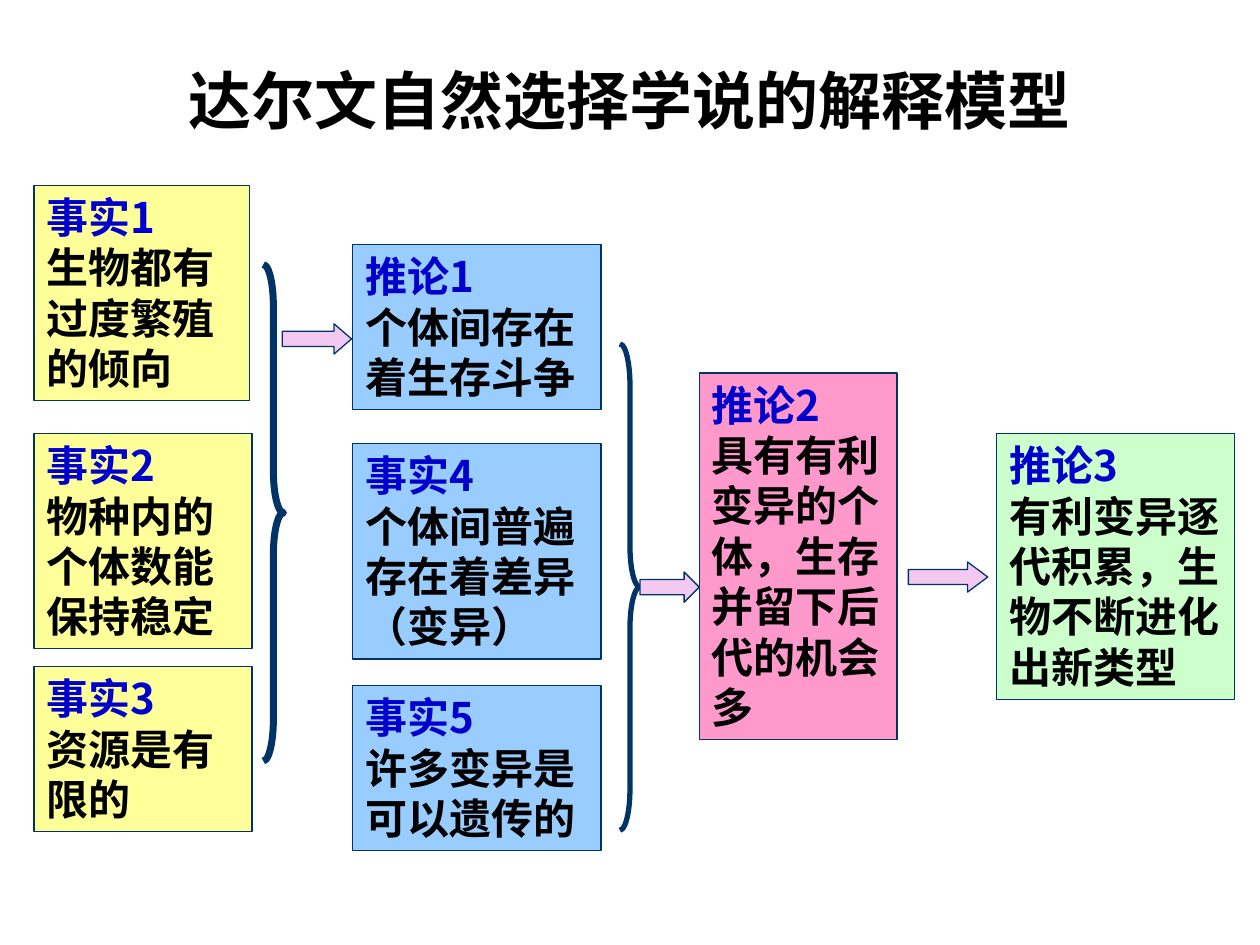
"""Build a slide showing how facts lead to inferences in natural selection theory."""
from dataclasses import dataclass

from lxml import etree
from pptx import Presentation
from pptx import util as u
from pptx.dml.color import RGBColor
from pptx.enum import shapes, text
from pptx.oxml.ns import qn

COLOURS = {
    "edge": "003366",
    "heading": "0000CC",
    "body": "000000",
    "fact": "FFFF99",
    "middle": "99CCFF",
    "survival": "FF99CC",
    "evolution": "CCFFCC",
    "arrow": "F3C9F2",
}
CJK_FONT = "Noto Sans CJK SC"


@dataclass
class Card:
    heading: str
    body: str
    left: float
    top: float
    width: float
    height: float
    fill: str


@dataclass
class Brace:
    left: float
    top: float
    height: float
    curve: float
    weight: float


@dataclass
class Arrow:
    left: float
    top: float
    width: float
    head: float


CARDS = [
    Card("事实1", "生物都有过度繁殖的倾向", 0.27, 1.47, 1.71, 1.71, "fact"),
    Card("事实2", "物种内的个体数能保持稳定", 0.27, 3.44, 1.73, 1.71, "fact"),
    Card("事实3", "资源是有限的", 0.27, 5.29, 1.73, 1.31, "fact"),
    Card("推论1", "个体间存在着生存斗争", 2.8, 1.94, 1.97, 1.31, "middle"),
    Card("事实4", "个体间普遍存在着差异（变异）", 2.8, 3.52, 1.97, 1.71, "middle"),
    Card("事实5", "许多变异是可以遗传的", 2.8, 5.44, 1.97, 1.31, "middle"),
    Card("推论2", "具有有利变异的个体，生存并留下后代的机会多",
         5.55, 2.96, 1.57, 2.91, "survival"),
    Card("推论3", "有利变异逐代积累，生物不断进化出新类型",
         7.91, 3.44, 1.89, 2.11, "evolution"),
]
BRACES = [Brace(2.09, 2.1, 3.94, 2.08, 4), Brace(4.92, 2.73, 3.86, 2.04, 3)]
ARROWS = [
    Arrow(2.24, 2.57, 0.55, 0.58),
    Arrow(5.08, 4.54, 0.47, 0.5),
    Arrow(7.21, 4.46, 0.63, 0.67),
]


def colour(name: str) -> RGBColor:
    return RGBColor.from_string(COLOURS[name])


def add_span(para, words: str, size: float, ink: str, latin: str = CJK_FONT) -> None:
    span = para.add_run()
    span.text = words
    span.font.size = u.Pt(size)
    span.font.bold = True
    span.font.color.rgb = colour(ink)
    span.font.name = latin
    east_asian = etree.SubElement(span.font._element, qn("a:ea"))
    east_asian.set("typeface", CJK_FONT)


def add_outlined(page, kind, left: float, top: float, width: float, height: float,
                 fill: str = "", weight: float = 0.75):
    shape = page.shapes.add_shape(
        kind, u.Inches(left), u.Inches(top), u.Inches(width), u.Inches(height))
    shape.shadow.inherit = False
    shape.line.color.rgb = colour("edge")
    shape.line.width = u.Pt(weight)
    if fill:
        shape.fill.solid()
        shape.fill.fore_color.rgb = colour(fill)
    else:
        shape.fill.background()
    return shape


def add_card(page, card: Card) -> None:
    box = add_outlined(page, shapes.MSO_SHAPE.RECTANGLE, card.left, card.top,
                       card.width, card.height, card.fill)
    frame = box.text_frame
    frame.word_wrap = True
    frame.auto_size = text.MSO_AUTO_SIZE.SHAPE_TO_FIT_TEXT
    frame.vertical_anchor = text.MSO_ANCHOR.TOP
    heading, body = frame.paragraphs[0], frame.add_paragraph()
    for para in (heading, body):
        para.alignment = text.PP_ALIGN.LEFT
    add_span(heading, card.heading, 24, "heading")
    add_span(body, card.body, 24, "body")


def add_brace(page, brace: Brace) -> None:
    shape = add_outlined(page, shapes.MSO_SHAPE.RIGHT_BRACE, brace.left, brace.top,
                         0.16, brace.height, weight=brace.weight)
    shape.adjustments[0] = brace.curve
    shape.adjustments[1] = 0.5


def add_arrow(page, arrow: Arrow) -> None:
    shape = add_outlined(page, shapes.MSO_SHAPE.RIGHT_ARROW, arrow.left, arrow.top,
                         arrow.width, 0.24, "arrow")
    shape.adjustments[0] = 0.5
    shape.adjustments[1] = arrow.head


def set_title(page, words: str) -> None:
    title = page.shapes.title
    title.left, title.top = u.Inches(1.38), u.Inches(0.44)
    title.width, title.height = u.Inches(7.23), u.Inches(0.7)
    frame = title.text_frame
    frame.word_wrap = False
    frame.auto_size = text.MSO_AUTO_SIZE.NONE
    frame.vertical_anchor = text.MSO_ANCHOR.MIDDLE
    para = frame.paragraphs[0]
    para.alignment = text.PP_ALIGN.CENTER
    add_span(para, words, 36, "body", "Times New Roman")


def main() -> None:
    deck = Presentation()
    deck.slide_width, deck.slide_height = u.Inches(10), u.Inches(7.5)
    page = deck.slides.add_slide(deck.slide_layouts.get_by_name("Title Only"))
    set_title(page, "达尔文自然选择学说的解释模型")
    for card in CARDS:
        add_card(page, card)
    for brace in BRACES:
        add_brace(page, brace)
    for arrow in ARROWS:
        add_arrow(page, arrow)
    deck.save("out.pptx")


if __name__ == "__main__":
    main()
